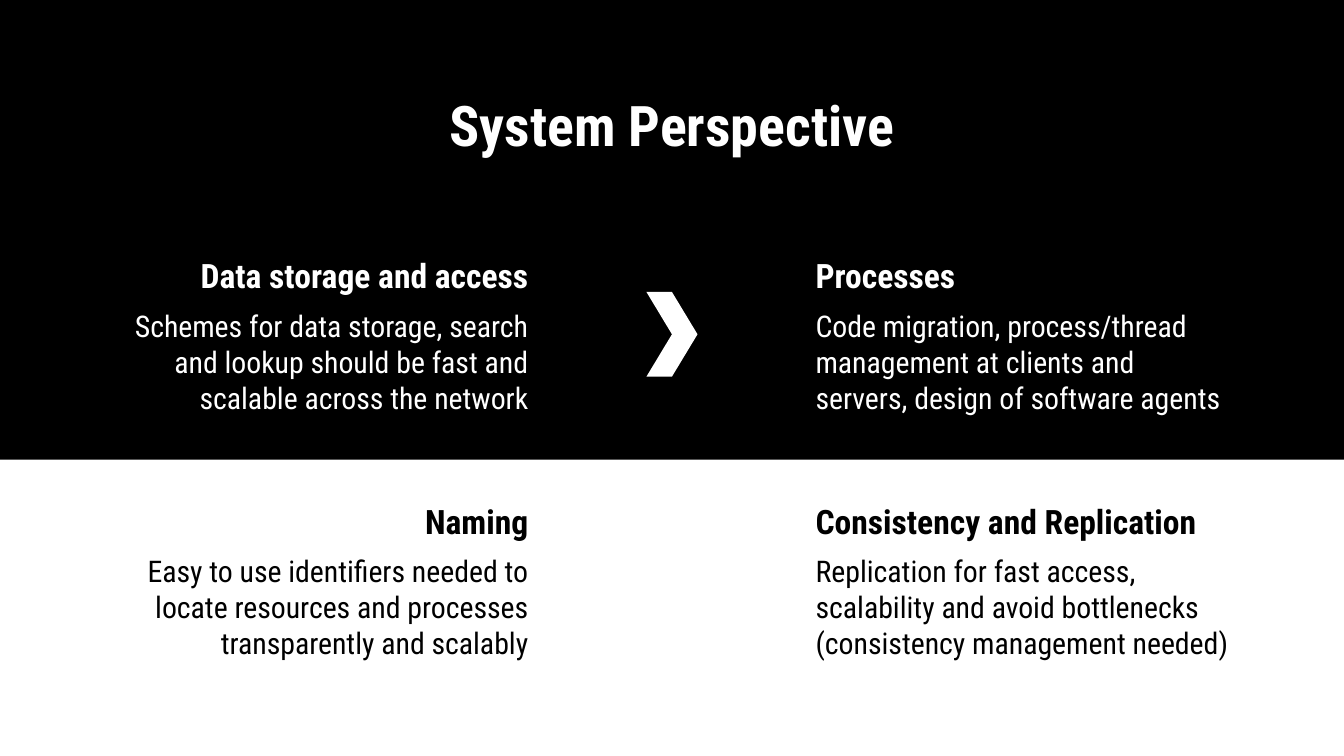
import pptx
import pptx.util
import pptx.dml.color
import pptx.enum.shapes
import pptx.enum.text

COLS, ROWS = 100, 56.25
CELL = pptx.util.Inches(0.1)
BLACK, WHITE = "000000", "FFFFFF"
ALIGN = pptx.enum.text.PP_ALIGN
SHAPE = pptx.enum.shapes.MSO_SHAPE

HEAD = {"size": pptx.util.Pt(18), "bold": True}
BODY = {"size": pptx.util.Pt(16), "bold": False}
TITLE = {"size": pptx.util.Pt(30), "bold": True}


def color(code):
    return pptx.dml.color.RGBColor.from_string(code)


def grid(*cells):
    """Turn columns and rows of the grid into lengths."""
    return [round(cell * CELL) for cell in cells]


class Deck:
    font = "Roboto Condensed"

    def __init__(self):
        self.file = pptx.Presentation()
        self.file.slide_width, self.file.slide_height = grid(COLS, ROWS)
        self.slide = self.file.slides.add_slide(self.file.slide_layouts[6])

    def shape(self, kind, place, fill):
        item = self.slide.shapes.add_shape(kind, *grid(*place))
        item.shadow.inherit = False
        item.fill.solid()
        item.fill.fore_color.rgb = color(fill)
        item.line.fill.background()

    def text(self, words, place, ink, align, style):
        frame = self.slide.shapes.add_textbox(*grid(*place)).text_frame
        inset = CELL
        values = {
            "word_wrap": True,
            "vertical_anchor": pptx.enum.text.MSO_ANCHOR.TOP,
            "margin_left": inset, "margin_right": inset,
            "margin_top": inset, "margin_bottom": inset,
        }
        for name, value in values.items():
            setattr(frame, name, value)
        line = frame.paragraphs[0]
        line.alignment = align
        run = line.add_run()
        run.text = words
        for name, value in {"name": self.font, **style}.items():
            setattr(run.font, name, value)
        run.font.color.rgb = color(ink)

    def topic(self, head, body, edge, top, widths, ink, align):
        """Place a heading over its body; edge is the side they align to."""
        parts = ((head, 0, 4.2, HEAD), (body, 3.92, 9.7, BODY))
        for (words, drop, height, style), width in zip(parts, widths):
            left = edge - width if align == ALIGN.RIGHT else edge
            self.text(words, (left, top + drop, width, height),
                      ink, align, style)


def main():
    deck = Deck()
    deck.shape(SHAPE.RECTANGLE, (0, 0, COLS, 34.2), BLACK)
    deck.text("System Perspective", (7.8, 5.74, 84.4, 6.3),
              WHITE, ALIGN.CENTER, TITLE)

    sides = ((40.3, ALIGN.RIGHT), (59.7, ALIGN.LEFT))
    bands = (
        (18, WHITE, (
            ("Data storage and access",
             "Schemes for data storage, search and lookup should be fast "
             "and scalable across the network", (35.5, 32.5)),
            ("Processes",
             "Code migration, process/thread management at clients and "
             "servers, design of software agents", (23.4, 32.5)),
        )),
        (36.24, BLACK, (
            ("Naming",
             "Easy to use identifiers needed to locate resources and "
             "processes transparently and scalably", (24.7, 32.5)),
            ("Consistency and Replication",
             "Replication for fast access, scalability and avoid "
             "bottlenecks (consistency management needed)", (31.4, 33.8)),
        )),
    )
    for top, ink, topics in bands:
        for (edge, align), (head, body, widths) in zip(sides, topics):
            deck.topic(head, body, edge, top, widths, ink, align)

    deck.shape(SHAPE.CHEVRON, (48.1, 21.73, 3.8, 6.3), WHITE)
    deck.file.save("out.pptx")


if __name__ == "__main__":
    main()
